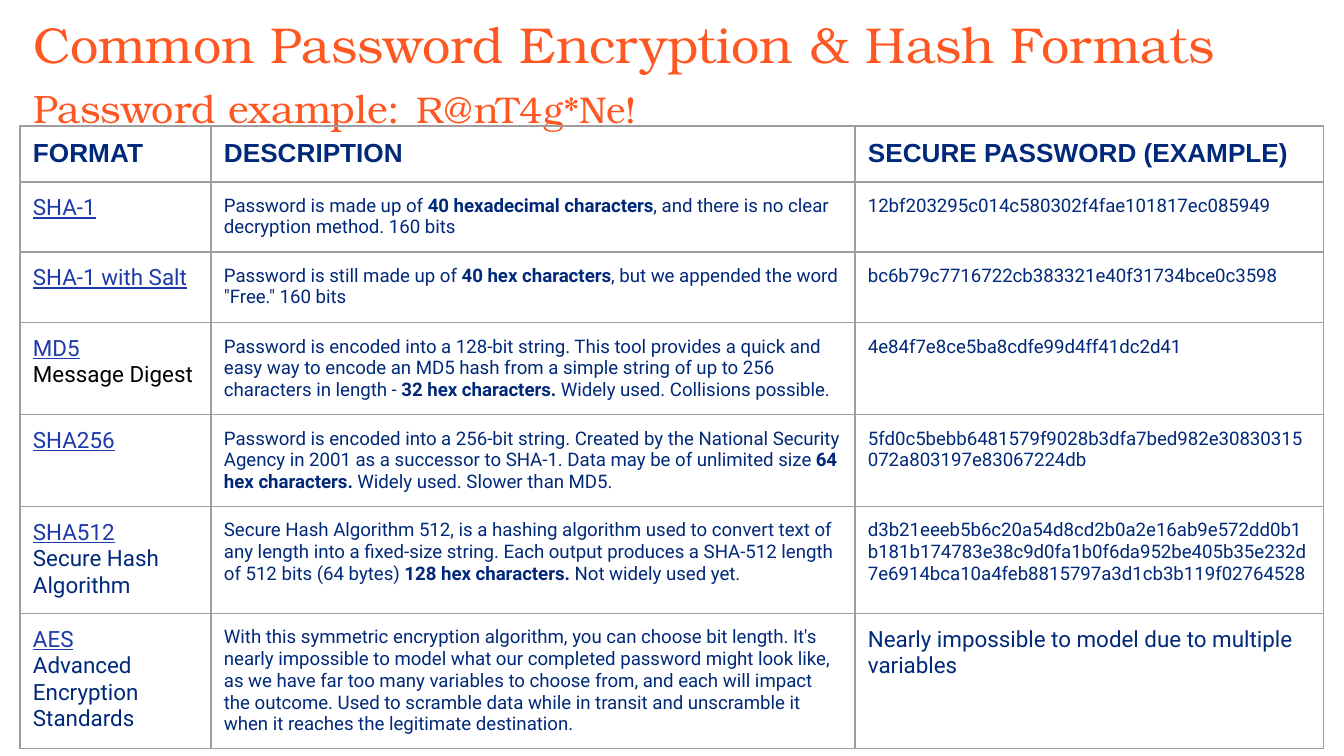
import lxml.etree
import pptx
import pptx.dml.color
import pptx.enum.text
import pptx.oxml.ns
import pptx.util

PX = 914400 / 134.4
INSET = 13
NAVY, LINK, BLACK = "00297A", "1C3AA9", "000000"
ORANGE, GREY = "FF5722", "9E9E9E"

COLUMN_WIDTHS = [191, 644, 469]
ROW_HEIGHTS = [56, 70, 71, 92, 92, 107, 135]
HEADINGS = ["FORMAT", "DESCRIPTION", "SECURE PASSWORD (EXAMPLE)"]

# Format, its full name, the description with **bold** parts, the example.
FORMATS = [
    ("SHA-1", "",
     "Password is made up of **40 hexadecimal characters**, and there is no clear "
     "decryption method. 160 bits",
     "12bf203295c014c580302f4fae101817ec085949"),
    ("SHA-1 with Salt", "",
     "Password is still made up of **40 hex characters**, but we appended the word "
     "\"Free.\" 160 bits",
     "bc6b79c7716722cb383321e40f31734bce0c3598"),
    ("MD5", "Message Digest",
     "Password is encoded into a 128-bit string. This tool provides a quick and easy way "
     "to encode an MD5 hash from a simple string of up to 256 characters in length - "
     "**32 hex characters.** Widely used. Collisions possible.",
     "4e84f7e8ce5ba8cdfe99d4ff41dc2d41"),
    ("SHA256", "",
     "Password is encoded into a 256-bit string. Created by the National Security Agency "
     "in 2001 as a successor to SHA-1. Data may be of unlimited size "
     "**64 hex characters. **Widely used. Slower than MD5.",
     "5fd0c5bebb6481579f9028b3dfa7bed982e30830315072a803197e83067224db"),
    ("SHA512", "Secure Hash Algorithm",
     "Secure Hash Algorithm 512, is a hashing algorithm used to convert text of any length "
     "into a fixed-size string. Each output produces a SHA-512 length of 512 bits "
     "(64 bytes) **128 hex characters. **Not widely used yet.",
     "d3b21eeeb5b6c20a54d8cd2b0a2e16ab9e572dd0b1b181b174783e38c9d0fa1b0f6da952be405b35e232d"
     "7e6914bca10a4feb8815797a3d1cb3b119f02764528"),
    ("AES", "Advanced Encryption Standards",
     "With this symmetric encryption algorithm, you can choose bit length. It's nearly "
     "impossible to model what our completed password might look like, as we have far too "
     "many variables to choose from, and each will impact the outcome. Used to scramble "
     "data while in transit and unscramble it when it reaches the legitimate destination.",
     "Nearly impossible to model due to multiple variables"),
]


def px(length):
    return pptx.util.Emu(round(length * PX))


def rgb(value):
    return pptx.dml.color.RGBColor.from_string(value)


class SlideBuilder:
    """Holds the fonts and the slide being built."""

    title_font, heading_font, body_font = "TeX Gyre Bonum", "Arial", "Roboto"

    def __init__(self, slide):
        self.slide = slide

    def style(self, span, size, font, color, bold=False, underline=False):
        span.font.size = pptx.util.Pt(size)
        span.font.name = font
        span.font.color.rgb = rgb(color)
        span.font.bold = bold
        span.font.underline = underline

    def set_insets(self, frame):
        frame.margin_left = frame.margin_right = px(INSET)
        frame.margin_top = frame.margin_bottom = px(INSET)

    def title(self, left, top, width, height, lines):
        """Each line is a list of (text, size) pairs."""
        box = self.slide.shapes.title
        box.left, box.top, box.width, box.height = map(px, (left, top, width, height))
        frame = box.text_frame
        frame.word_wrap = True
        frame.auto_size = pptx.enum.text.MSO_AUTO_SIZE.NONE
        frame.vertical_anchor = pptx.enum.text.MSO_ANCHOR.TOP
        self.set_insets(frame)
        frame.text = "\n".join("" for _ in lines)
        for para, pieces in zip(frame.paragraphs, lines):
            para.alignment = pptx.enum.text.PP_ALIGN.LEFT
            for text, size in pieces:
                span = para.add_run()
                span.text = text
                self.style(span, size, self.title_font, ORANGE)

    def table(self, left, top, widths, heights):
        frame = self.slide.shapes.add_table(
            len(heights), len(widths), px(left), px(top), px(sum(widths)), px(sum(heights)))
        table = frame.table
        table.first_row = table.horz_banding = False
        for column, width in zip(table.columns, widths):
            column.width = px(width)
        for row, height in zip(table.rows, heights):
            row.height = px(height)
        for cell in table.iter_cells():
            self.set_insets(cell)
            self.borders(cell)
            cell.fill.background()
        return table

    def borders(self, cell):
        qn = pptx.oxml.ns.qn
        properties = cell._tc.get_or_add_tcPr()
        for side in ("a:lnL", "a:lnR", "a:lnT", "a:lnB"):
            line = lxml.etree.SubElement(properties, qn(side), w=str(pptx.util.Pt(0.75)))
            fill = lxml.etree.SubElement(line, qn("a:solidFill"))
            lxml.etree.SubElement(fill, qn("a:srgbClr"), val=GREY)

    def heading(self, cell, text):
        cell.text_frame.text = text
        self.style(cell.text_frame.paragraphs[0].runs[0], 14, self.heading_font, NAVY, bold=True)

    def format_name(self, cell, name, full_name, color):
        cell.text_frame.text = f"{name}\n{full_name}" if full_name else name
        first, *rest = cell.text_frame.paragraphs
        self.style(first.runs[0], 12, self.body_font, LINK, underline=True)
        for para in rest:
            self.style(para.runs[0], 12, self.body_font, color)

    def body(self, cell, text, size=10):
        """Writes text in which ** switches bold on and off."""
        para = cell.text_frame.paragraphs[0]
        for index, piece in enumerate(text.split("**")):
            span = para.add_run()
            span.text = piece
            self.style(span, size, self.body_font, NAVY, bold=index % 2 == 1)


def main():
    deck = pptx.Presentation()
    deck.slide_width, deck.slide_height = px(1344), px(756)
    page = SlideBuilder(deck.slides.add_slide(deck.slide_layouts[5]))

    page.title(20, 0, 1302, 134, [
        [("Common Password Encryption & Hash Formats", 27)],
        [("Password example:", 21.2), (" ", 27), ("R@nT4g*Ne!", 19.9)],
    ])

    table = page.table(20, 126, COLUMN_WIDTHS, ROW_HEIGHTS)
    for column, text in enumerate(HEADINGS):
        page.heading(table.cell(0, column), text)
    for row, (name, full_name, description, example) in enumerate(FORMATS, start=1):
        page.format_name(table.cell(row, 0), name, full_name, BLACK if name == "MD5" else NAVY)
        page.body(table.cell(row, 1), description)
        page.body(table.cell(row, 2), example, size=12 if name == "AES" else 10)

    deck.save("out.pptx")


if __name__ == "__main__":
    main()
